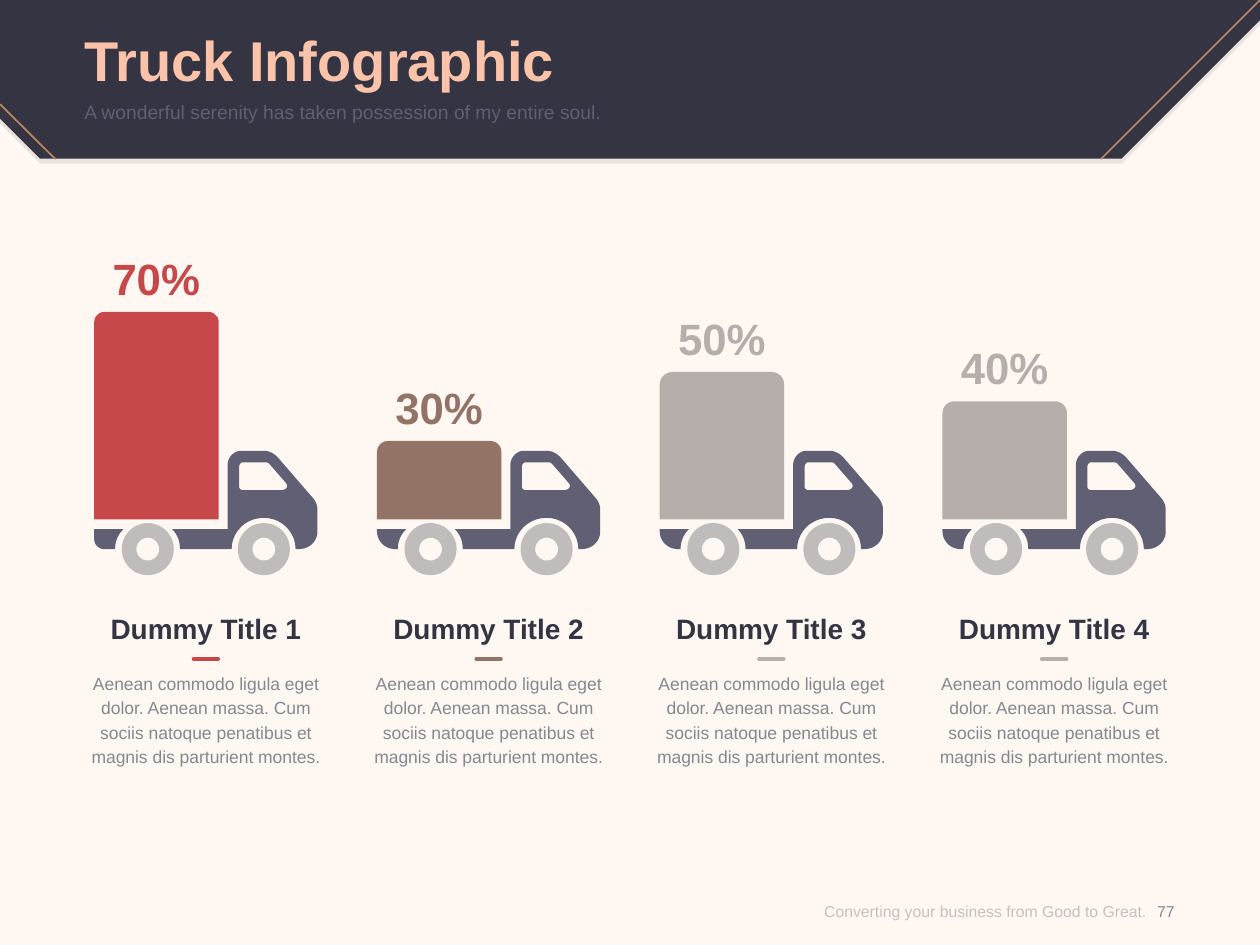
import pptx
import pptx.util
import pptx.dml.color
import pptx.enum.shapes
import pptx.enum.text
import pptx.oxml.ns
from lxml import etree

Cm, Pt = pptx.util.Cm, pptx.util.Pt
KIND = pptx.enum.shapes.MSO_SHAPE
ALIGN = pptx.enum.text.PP_ALIGN
ANCHOR = pptx.enum.text.MSO_ANCHOR
qn = pptx.oxml.ns.qn

HEX = {"back": "FFF7F2", "dark": "343442", "slate": "605F73", "peach": "FBC4AA",
       "bronze": "B98763", "red": "C7484A", "brown": "927365", "stone": "B6AEAB",
       "gray": "85898F", "foot": "8C8C8C"}

# Content; lengths in cm
HEAD = "Truck Infographic"
SUB = "A wonderful serenity has taken possession of my entire soul."
FOOT, PAGE = "Converting your business from Good to Great.", "77"
BODY = ("Aenean commodo ligula eget dolor. Aenean massa. Cum sociis natoque "
        "penatibus et magnis dis parturient montes.")
# title, share, load height, load corner, rear corner, colour
TRUCKS = [
    ("Dummy Title 1", "70%", 4.18, 0.08, 0.2, "red"),
    ("Dummy Title 2", "30%", 1.58, 0.14, 0.36, "brown"),
    ("Dummy Title 3", "50%", 2.97, 0.1, 0.36, "stone"),
    ("Dummy Title 4", "40%", 2.38, 0.1, 0.36, "stone"),
]
LEFT, PITCH = 1.9, 5.7
FLOOR, AXLE = 10.47, 11.07
WHEELS, WHEEL = (1.08, 3.42), 1.05

# Outlines: a pair is a line to a point, six numbers are a curve
BANNER = [(0, 0), (25.4, 0), (25.4, 0.41), (22.61, 3.2), (0.81, 3.2), (0, 2.39)]
CAB = [(1.57, 10.67), (1.68, 10.77, 1.73, 10.92, 1.73, AXLE), (2.77, AXLE),
       (2.77, 10.72, 3.06, 10.44, 3.42, 10.44),
       (3.77, 10.44, 4.06, 10.72, 4.06, AXLE), (4.13, AXLE),
       (4.33, AXLE, 4.5, 10.92, 4.5, 10.72), (4.5, 10.26),
       (4.5, 10.18, 4.45, 10.08, 4.4, 10.03), (3.7, 9.22),
       (3.62, 9.14, 3.53, 9.09, 3.42, 9.09), (2.95, 9.09),
       (2.82, 9.09, 2.69, 9.22, 2.69, 9.37), (2.69, 10.67)]
PANE = [(2.92, 9.42), (2.92, 9.37, 2.95, 9.32, 3, 9.32), (3.45, 9.32),
        (3.48, 9.32, 3.51, 9.33, 3.53, 9.35), (3.86, 9.73),
        (3.93, 9.8, 3.87, 9.88, 3.78, 9.88), (3, 9.88),
        (2.95, 9.88, 2.92, 9.85, 2.92, 9.8)]

deck = pptx.Presentation()
deck.slide_width, deck.slide_height = Cm(25.4), Cm(19.05)
slide = deck.slides.add_slide(deck.slide_layouts[5])
shapes = slide.shapes


def color(name):
    return pptx.dml.color.RGBColor.from_string(HEX[name])


def fade(node, share):
    for tint in node.iter(qn("a:srgbClr")):
        etree.SubElement(tint, qn("a:alpha"), val=str(share * 1000))


def paint(shape, fill, alpha=None):
    shape.shadow.inherit = False
    shape.fill.solid()
    shape.fill.fore_color.rgb = color(fill)
    shape.line.fill.background()
    if alpha:
        fade(shape._element.spPr, alpha)
    return shape


def trace(path, steps=10):
    """Turn lines and curves into a list of points."""
    dots = []
    for part in path:
        if len(part) == 2:
            dots.append(part)
            continue
        a, b, c, d = dots[-1], part[:2], part[2:4], part[4:]
        for n in range(1, steps + 1):
            t = n / steps
            u = 1 - t
            dots.append(tuple(u**3 * a[i] + 3 * u * u * t * b[i]
                              + 3 * u * t * t * c[i] + t**3 * d[i] for i in (0, 1)))
    return dots


def outline(paths, fill, x=0, y=0, alpha=None):
    pen = None
    for path in paths:
        dots = [(Cm(x + h), Cm(y + v)) for h, v in trace(path)]
        if pen is None:
            pen = shapes.build_freeform(*dots[0])
        else:
            pen.move_to(*dots[0])
        pen.add_line_segments(dots[1:], close=True)
    return paint(pen.convert_to_shape(), fill, alpha)


def preset(kind, x, y, w, h, fill, adjust, alpha=None):
    shape = shapes.add_shape(kind, Cm(x), Cm(y), Cm(w), Cm(h))
    shape.adjustments[0] = adjust
    return paint(shape, fill, alpha)


def rule(x1, y1, x2, y2, tint, width):
    line = shapes.add_connector(pptx.enum.shapes.MSO_CONNECTOR.STRAIGHT,
                                Cm(x1), Cm(y1), Cm(x2), Cm(y2))
    line.line.color.rgb = color(tint)
    line.line.width = Pt(width)
    line.line._get_or_add_ln().set("cap", "rnd")
    etree.SubElement(line._element.spPr, qn("a:effectLst"))


def text(words, x, y, w, h, size, tint, bold=False, align=ALIGN.LEFT,
         anchor=ANCHOR.TOP, space=None, alpha=None, box=None):
    box = box or shapes.add_textbox(0, 0, 0, 0)
    box.left, box.top, box.width, box.height = Cm(x), Cm(y), Cm(w), Cm(h)
    frame = box.text_frame
    frame.word_wrap = True
    frame.auto_size = pptx.enum.text.MSO_AUTO_SIZE.NONE
    frame.vertical_anchor = anchor
    frame.margin_left = frame.margin_right = frame.margin_top = frame.margin_bottom = 0
    para = frame.paragraphs[0]
    para.alignment = align
    if space:
        para.line_spacing = Pt(space)
    run = para.add_run()
    run.text = words
    font = run.font
    font.name, font.size, font.bold = "Arial", Pt(size), bold
    font.color.rgb = color(tint)
    if alpha:
        fade(run._r, alpha)


# Background and banner
slide.background.fill.solid()
slide.background.fill.fore_color.rgb = color("back")
outline([BANNER], "dark", y=0.1, alpha=10)
outline([BANNER], "dark")
rule(25.4, 0, 22.2, 3.2, "bronze", 1)
rule(1.11, 3.2, 0, 2.1, "bronze", 1)

# Title, above the banner
title = shapes.title
title._element.getparent().append(title._element)
text(HEAD, 1.7, 0.36, 22, 1.65, 32, "peach", bold=True, anchor=ANCHOR.MIDDLE, box=title)
text(SUB, 1.7, 2.03, 22, 0.99, 11, "slate")

# Trucks with their captions
for i, (name, share, tall, bend, curve, tint) in enumerate(TRUCKS):
    x = LEFT + i * PITCH
    top = FLOOR - tall
    tuck = curve * 0.45
    rear = [(0, 10.67), (0.59, 10.67), (0.48, 10.77, 0.42, 10.92, 0.42, AXLE),
            (curve, AXLE), (tuck, AXLE, 0, AXLE - tuck, 0, AXLE - curve)]
    preset(KIND.ROUND_2_SAME_RECTANGLE, x, top, 2.51, tall, tint, bend)
    outline([rear], "slate", x)
    outline([CAB, PANE], "slate", x)
    for mid in WHEELS:
        preset(KIND.DONUT, x + mid - WHEEL / 2, AXLE - WHEEL / 2, WHEEL, WHEEL,
               "dark", 0.28, alpha=30)
    text(share, x + 0.08, top - 1.22, 2.34, 1.07, 25, tint, bold=True, align=ALIGN.CENTER)

    cell = x - 0.2
    text(name, cell, 12.32, 4.9, 0.69, 16, "dark", bold=True, align=ALIGN.CENTER)
    rule(cell + 2.2, 13.28, cell + 2.7, 13.28, tint, 2)
    text(BODY, cell, 13.49, 4.9, 2, 10, "gray", align=ALIGN.CENTER, space=14)

# Footer
text(FOOT, 15.34, 17.68, 7.77, 1.37, 9, "foot", align=ALIGN.RIGHT,
     anchor=ANCHOR.MIDDLE, alpha=50)
text(PAGE, 22.91, 17.68, 1.19, 1.37, 9, "gray", align=ALIGN.CENTER, anchor=ANCHOR.MIDDLE)

deck.save("out.pptx")
